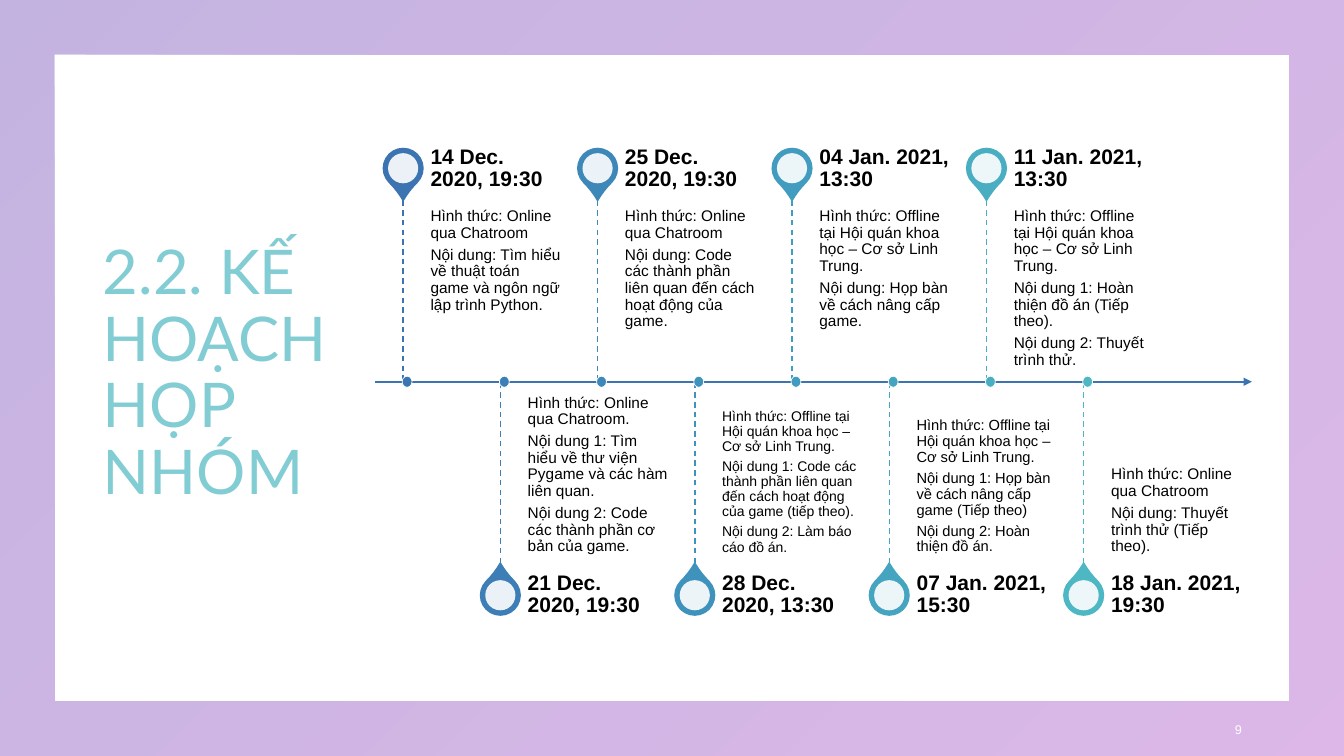
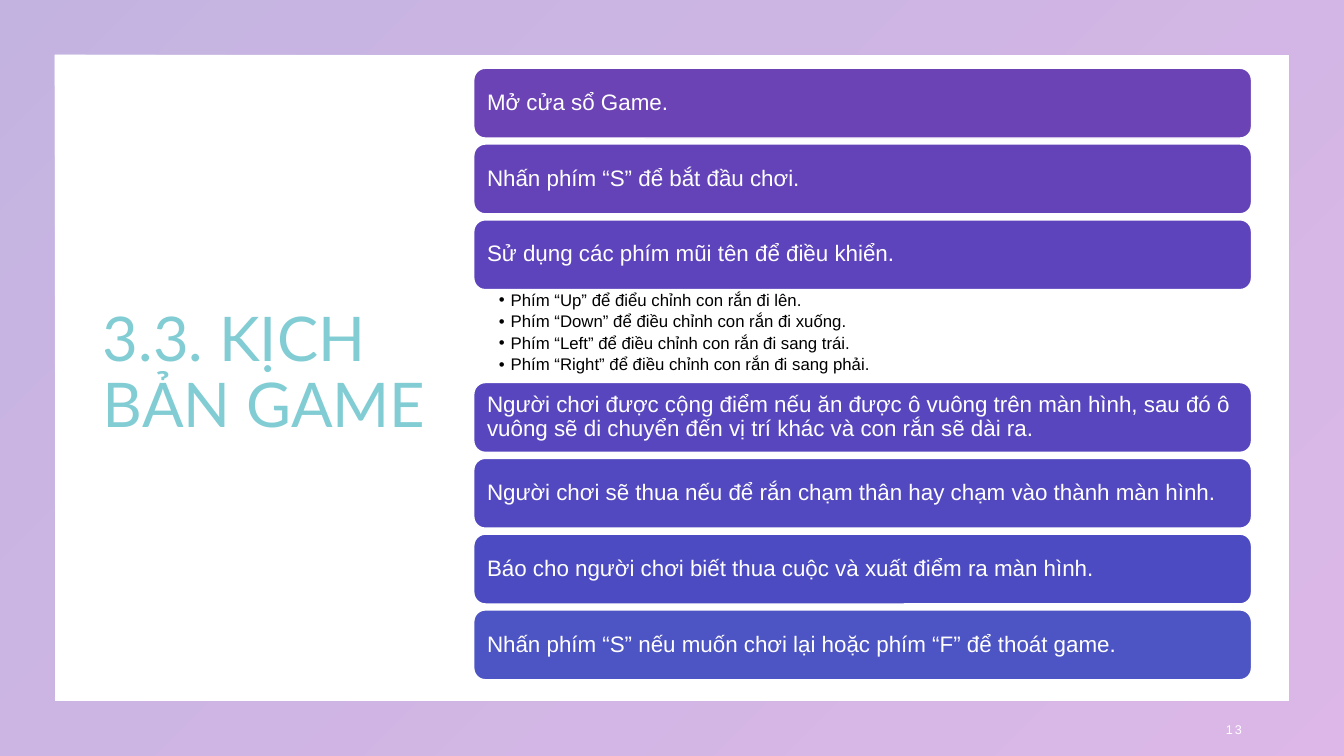
import dataclasses
import typing

import pptx
import pptx.dml.color
import pptx.enum.dml
import pptx.enum.shapes
import pptx.enum.text
import pptx.oxml
import pptx.oxml.ns
import pptx.util

Cm = pptx.util.Cm
Pt = pptx.util.Pt
RGBColor = pptx.dml.color.RGBColor
Shape = pptx.enum.shapes.MSO_SHAPE
Anchor = pptx.enum.text.MSO_ANCHOR
Align = pptx.enum.text.PP_ALIGN
qn = pptx.oxml.ns.qn

# Colours
WHITE = RGBColor(0xFF, 0xFF, 0xFF)
BLACK = RGBColor(0x00, 0x00, 0x00)
PURPLE = RGBColor(0x6B, 0x43, 0xB5)
MAGENTA = RGBColor(0xA8, 0x4D, 0xC3)
TEAL = RGBColor(0x4D, 0xB7, 0xC3)
BLUE = RGBColor(0x3B, 0x74, 0xB1)

# Page measures, in centimetres
PAGE_WIDTH, PAGE_HEIGHT = 33.87, 19.05


class Area(typing.NamedTuple):
    left: float
    top: float
    width: float
    height: float


class Inset(typing.NamedTuple):
    left: float = 0.25
    top: float = 0.13
    right: float = 0.25
    bottom: float = 0.13


@dataclasses.dataclass(frozen=True)
class TextStyle:
    size: float
    colour: RGBColor
    font: str = "Arial"
    bold: bool = False
    spacing: float = 0.9
    after: float = 0.35  # share of the text size
    align: Align = Align.LEFT


@dataclasses.dataclass(frozen=True)
class Meeting:
    heading: str
    details: tuple[str, ...]
    colour: RGBColor
    size: float = 11


@dataclasses.dataclass(frozen=True)
class Step:
    text: str
    colour: RGBColor
    bullets: tuple[str, ...] = ()


TITLE = TextStyle(44, TEAL, font="Lato", after=0)
PAGE_NUMBER = TextStyle(9, WHITE, spacing=1, after=0.67, align=Align.RIGHT)
HEADING = TextStyle(15, BLACK, bold=True)
STEP = TextStyle(16, WHITE)
BULLET = TextStyle(12, BLACK, after=0.2)

OFFLINE = "Hình thức: Offline tại Hội quán khoa học – Cơ sở Linh Trung."
ONLINE = "Hình thức: Online qua Chatroom"

MEETINGS = (
    Meeting("14 Dec. 2020, 19:30", (
        ONLINE,
        "Nội dung: Tìm hiểu về thuật toán game và ngôn ngữ lập trình Python.",
    ), BLUE),
    Meeting("21 Dec. 2020, 19:30", (
        ONLINE + ".",
        "Nội dung 1: Tìm hiểu về thư viện Pygame và các hàm liên quan.",
        "Nội dung 2: Code các thành phần cơ bản của game.",
    ), RGBColor(0x3C, 0x7E, 0xB5)),
    Meeting("25 Dec. 2020, 19:30", (
        ONLINE,
        "Nội dung: Code các thành phần liên quan đến cách hoạt động của game.",
    ), RGBColor(0x3E, 0x88, 0xB9)),
    Meeting("28 Dec. 2020, 13:30", (
        OFFLINE,
        "Nội dung 1: Code các thành phần liên quan đến cách hoạt động của game (tiếp theo).",
        "Nội dung 2: Làm báo cáo đồ án.",
    ), RGBColor(0x3F, 0x92, 0xBC), 10),
    Meeting("04 Jan. 2021, 13:30", (
        OFFLINE,
        "Nội dung: Họp bàn về cách nâng cấp game.",
    ), RGBColor(0x41, 0x9C, 0xBF)),
    Meeting("07 Jan. 2021, 15:30", (
        OFFLINE,
        "Nội dung 1: Họp bàn về cách nâng cấp game (Tiếp theo)",
        "Nội dung 2: Hoàn thiện đồ án.",
    ), RGBColor(0x45, 0xA5, 0xC1), 10.5),
    Meeting("11 Jan. 2021, 13:30", (
        OFFLINE,
        "Nội dung 1: Hoàn thiện đồ án (Tiếp theo).",
        "Nội dung 2: Thuyết trình thử.",
    ), RGBColor(0x49, 0xAE, 0xC2)),
    Meeting("18 Jan. 2021, 19:30", (
        ONLINE,
        "Nội dung: Thuyết trình thử (Tiếp theo).",
    ), TEAL),
)

STEPS = (
    Step("Mở cửa sổ Game.", PURPLE),
    Step("Nhấn phím “S” để bắt đầu chơi.", RGBColor(0x64, 0x43, 0xB9)),
    Step("Sử dụng các phím mũi tên để điều khiển.", RGBColor(0x5E, 0x44, 0xBC), (
        "Phím “Up” để điểu chỉnh con rắn đi lên.",
        "Phím “Down” để điều chỉnh con rắn đi xuống.",
        "Phím “Left” để điều chỉnh con rắn đi sang trái.",
        "Phím “Right” để điều chỉnh con rắn đi sang phải.",
    )),
    Step("Người chơi được cộng điểm nếu ăn được ô vuông trên màn hình, "
         "sau đó ô vuông sẽ di chuyển đến vị trí khác và con rắn sẽ dài ra.",
         RGBColor(0x58, 0x46, 0xBE)),
    Step("Người chơi sẽ thua nếu để rắn chạm thân hay chạm vào thành màn hình.",
         RGBColor(0x52, 0x48, 0xC0)),
    Step("Báo cho người chơi biết thua cuộc và xuất điểm ra màn hình.",
         RGBColor(0x4C, 0x4B, 0xC1)),
    Step("Nhấn phím “S” nếu muốn chơi lại hoặc phím “F” để thoát game.",
         RGBColor(0x4D, 0x54, 0xC3)),
)


# Drawing helpers
def apply(target: typing.Any, values: dict[str, typing.Any]) -> None:
    for name, value in values.items():
        setattr(target, name, value)


def place(shape: typing.Any, area: Area) -> None:
    apply(shape, {name: Cm(length) for name, length in area._asdict().items()})


def set_alpha(element: typing.Any, percent: int) -> None:
    for colour in element.iter(qn("a:srgbClr")):
        alpha = pptx.oxml.parse_xml(f'<a:alpha {pptx.oxml.ns.nsdecls("a")} val="{percent * 1000}"/>')
        colour.append(alpha)


def paint_gradient(fill: typing.Any, first: RGBColor, last: RGBColor, angle: float) -> None:
    fill.gradient()
    fill.gradient_angle = angle
    for stop, colour in zip(fill.gradient_stops, (first, last)):
        stop.color.rgb = colour


def write(frame: typing.Any, texts: typing.Sequence[str], style: TextStyle,
          inset: Inset = Inset(), anchor: Anchor = Anchor.MIDDLE) -> None:
    apply(frame, {"word_wrap": True, "auto_size": pptx.enum.text.MSO_AUTO_SIZE.NONE,
                  "vertical_anchor": anchor})
    apply(frame, {f"margin_{side}": Cm(length) for side, length in inset._asdict().items()})
    for index, text in enumerate(texts):
        para = frame.add_paragraph() if index else frame.paragraphs[0]
        apply(para, {"alignment": style.align, "line_spacing": style.spacing,
                     "space_before": Pt(0), "space_after": Pt(style.size * style.after)})
        span = para.add_run()
        span.text = text
        apply(span.font, {"name": style.font, "size": Pt(style.size), "bold": style.bold})
        span.font.color.rgb = style.colour


def add_text(page: typing.Any, area: Area, texts: typing.Sequence[str], style: TextStyle,
             inset: Inset = Inset(), anchor: Anchor = Anchor.MIDDLE) -> typing.Any:
    box = page.shapes.add_textbox(*map(Cm, area))
    write(box.text_frame, texts, style, inset, anchor)
    return box


def add_box(page: typing.Any, kind: Shape, area: Area, fill: RGBColor | None = None,
            line: RGBColor | None = None, line_width: float = 1) -> typing.Any:
    box = page.shapes.add_shape(kind, *map(Cm, area))
    box.shadow.inherit = False
    if fill is not None:
        box.fill.solid()
        box.fill.fore_color.rgb = fill
    if line is None:
        box.line.fill.background()
    else:
        box.line.color.rgb = line
        box.line.width = Pt(line_width)
    return box


def add_line(page: typing.Any, start: tuple[float, float], end: tuple[float, float],
             colour: RGBColor, width: float) -> typing.Any:
    line = page.shapes.add_connector(
        pptx.enum.shapes.MSO_CONNECTOR.STRAIGHT, *map(Cm, start + end))
    line.line.color.rgb = colour
    line.line.width = Pt(width)
    line._element.spPr.append(pptx.oxml.parse_xml(f'<a:effectLst {pptx.oxml.ns.nsdecls("a")}/>'))
    return line


def add_dot(page: typing.Any, x: float, y: float, width: float, height: float, fill: RGBColor,
            line: RGBColor | None = None) -> typing.Any:
    area = Area(x - width / 2, y - height / 2, width, height)
    return add_box(page, Shape.OVAL, area, fill, line, 0.5)


# Shared page: frame, title and page number
def add_page(deck: typing.Any, layout: int, title: str, number: int) -> typing.Any:
    page = deck.slides.add_slide(deck.slide_layouts[layout])
    border = add_box(page, Shape.FRAME, Area(0, 0, PAGE_WIDTH, PAGE_HEIGHT))
    border.adjustments[0] = 0.072
    paint_gradient(border.fill, PURPLE, MAGENTA, 315)
    set_alpha(border._element.spPr, 40)

    heading = page.shapes.title
    place(heading, Area(2.34, 1.7, 8.89, 15.47))
    write(heading.text_frame, [title], TITLE)
    span = heading.text_frame.paragraphs[0].runs[0]
    paint_gradient(span.font.fill, TEAL, MAGENTA, 0)
    set_alpha(span._r, 70)

    footer = add_text(page, Area(23.93, 17.86, 7.62, 1.02), [str(number)], PAGE_NUMBER)
    footer.text_frame.paragraphs[0].runs[0]._r.rPr.set("spc", "150")
    return page


# Timeline of meetings
AXIS_Y = 9.62
STEM = 4.57
PIN_REACH = 5.38
HEADING_HEIGHT = 1.6
TEXT_WIDTH = 3.53


def add_meeting(page: typing.Any, meeting: Meeting, x: float, above: bool) -> None:
    side = -1 if above else 1
    pin_y = AXIS_Y + side * PIN_REACH
    pin = add_box(page, Shape.TEAR, Area(x - 0.5, pin_y - 0.5, 1, 1),
                  meeting.colour, meeting.colour)
    pin.adjustments[0] = 1.15
    pin.rotation = 135 if above else 315
    hole = add_dot(page, x, pin_y, 0.76, 0.76, WHITE)
    set_alpha(hole._element.spPr, 90)

    text_left = x + 0.69
    detail_top = AXIS_Y - STEM if above else AXIS_Y
    heading_top = detail_top - HEADING_HEIGHT if above else AXIS_Y + STEM
    add_text(page, Area(text_left, detail_top, TEXT_WIDTH, STEM), meeting.details,
             TextStyle(meeting.size, BLACK),
             Inset(0, 0.2, 0.2, 0.28) if above else Inset(0, 0.28, 0, 0.2),
             Anchor.TOP if above else Anchor.BOTTOM)
    add_text(page, Area(text_left, heading_top, TEXT_WIDTH, HEADING_HEIGHT),
             [meeting.heading], HEADING, Inset(0, 0, 0.25, 0))

    stem = add_line(page, (x, AXIS_Y + side * STEM), (x, AXIS_Y), meeting.colour, 1)
    stem.line.dash_style = pptx.enum.dml.MSO_LINE.DASH
    add_dot(page, x + 0.1, AXIS_Y, 0.25, 0.28, meeting.colour, WHITE)


def add_timeline(page: typing.Any) -> None:
    axis = add_line(page, (9.45, AXIS_Y), (31.55, AXIS_Y), BLUE, 1.5)
    axis.line._get_or_add_ln().append(
        pptx.oxml.parse_xml(f'<a:tailEnd {pptx.oxml.ns.nsdecls("a")} type="triangle"/>'))
    for index, meeting in enumerate(MEETINGS):
        add_meeting(page, meeting, 10.16 + 2.45 * index, above=index % 2 == 0)


# Stack of game steps
def add_steps(page: typing.Any) -> None:
    left, top, width, height, gap, list_height = 11.94, 1.72, 19.6, 1.76, 0.15, 2.34
    for step in STEPS:
        bar = add_box(page, Shape.ROUNDED_RECTANGLE, Area(left, top, width, height),
                      step.colour, WHITE)
        write(bar.text_frame, [step.text], STEP)
        top += height
        if not step.bullets:
            top += gap
            continue
        body = page.placeholders[1]
        place(body, Area(left, top, width, list_height))
        write(body.text_frame, step.bullets, BULLET, Inset(0.63, 0.05, 0.3, 0.05), Anchor.TOP)
        for para in body.text_frame.paragraphs:
            for name, length in {"marL": 0.3, "indent": -0.3}.items():
                para._p.get_or_add_pPr().set(name, str(Cm(length)))
        top += list_height


def main() -> None:
    deck = pptx.Presentation()
    apply(deck, {"slide_width": Cm(PAGE_WIDTH), "slide_height": Cm(PAGE_HEIGHT)})
    add_timeline(add_page(deck, 5, "2.2. KẾ HOẠCH HỌP NHÓM", 9))
    add_steps(add_page(deck, 1, "3.3. KỊCH BẢN GAME", 13))
    deck.save("out.pptx")


if __name__ == "__main__":
    main()
